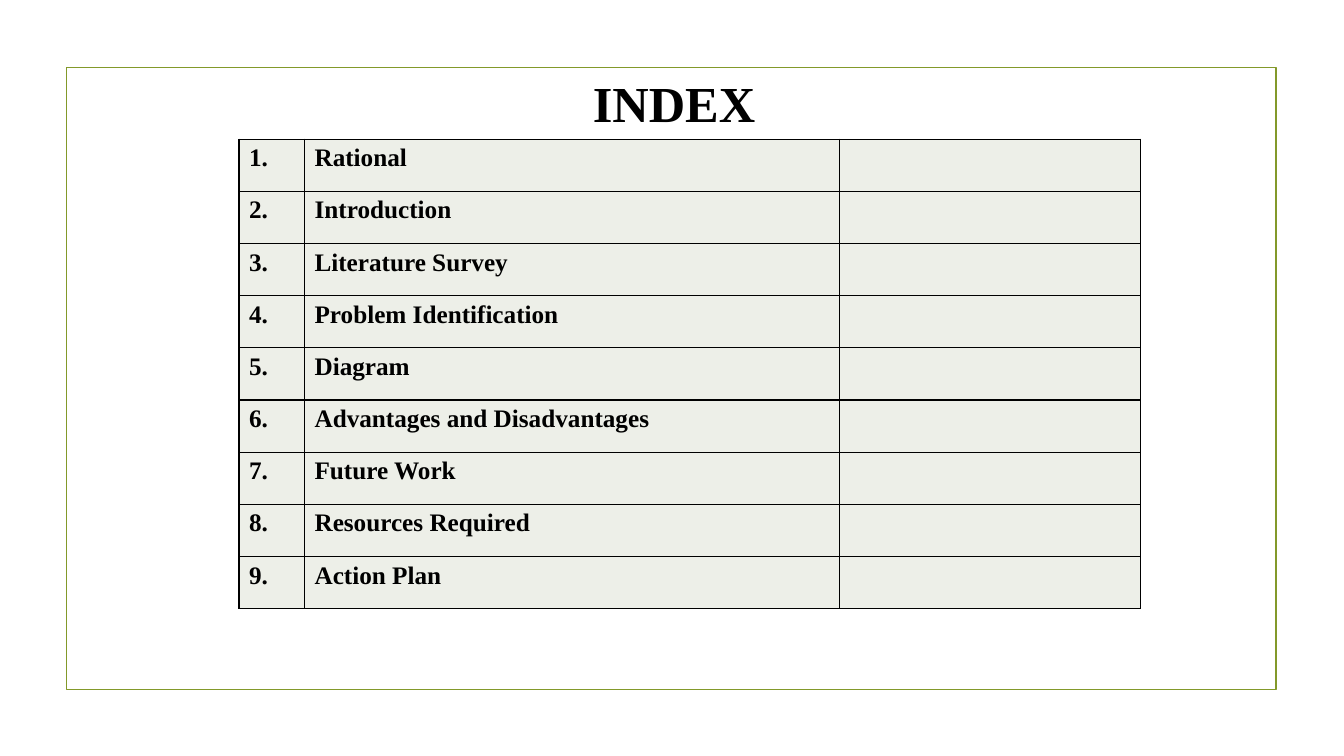
import dataclasses

import lxml.etree
import pptx
import pptx.dml.color
import pptx.enum.shapes
import pptx.enum.text
import pptx.oxml.ns
import pptx.util


@dataclasses.dataclass(frozen=True)
class Theme:
    font: str = "Times New Roman"
    title_size: int = 36
    cell_size: int = 18
    text: str = "000000"
    frame: str = "83992A"
    cell: str = "EDEFE8"
    border: str = "000000"


theme = Theme()
Inches = pptx.util.Inches
Pt = pptx.util.Pt
rgb = pptx.dml.color.RGBColor.from_string


def add_bold_run(paragraph, text, size):
    run = paragraph.add_run()
    run.text = text
    run.font.name = theme.font
    run.font.size = Pt(size)
    run.font.bold = True
    run.font.color.rgb = rgb(theme.text)


def add_borders(cell):
    """Draw a one-point line on all four sides; call before filling the cell."""
    properties = cell._tc.get_or_add_tcPr()
    for side in ("a:lnL", "a:lnR", "a:lnT", "a:lnB"):
        line = lxml.etree.SubElement(properties, pptx.oxml.ns.qn(side), w=str(Pt(1)))
        fill = lxml.etree.SubElement(line, pptx.oxml.ns.qn("a:solidFill"))
        lxml.etree.SubElement(fill, pptx.oxml.ns.qn("a:srgbClr"), val=theme.border)


presentation = pptx.Presentation()
presentation.slide_width = Inches(13.33)
presentation.slide_height = Inches(7.5)
slide = presentation.slides.add_slide(presentation.slide_layouts[6])

# Frame
frame_left, frame_top, frame_width, frame_height = 0.66, 0.67, 12, 6.17
frame = slide.shapes.add_shape(
    pptx.enum.shapes.MSO_SHAPE.RECTANGLE,
    Inches(frame_left), Inches(frame_top), Inches(frame_width), Inches(frame_height),
)
frame.shadow.inherit = False
frame.fill.background()
frame.line.color.rgb = rgb(theme.frame)
frame.line.width = Pt(1.25)

# Title
title_height = 0.71
title = slide.shapes.add_textbox(
    Inches(0.7), Inches(frame_top), Inches(11.97), Inches(title_height)
)
title.text_frame.word_wrap = True
title_paragraph = title.text_frame.paragraphs[0]
title_paragraph.alignment = pptx.enum.text.PP_ALIGN.CENTER
add_bold_run(title_paragraph, "INDEX", theme.title_size)

# Index table
topics = [
    "Rational",
    "Introduction",
    "Literature Survey",
    "Problem Identification",
    "Diagram",
    "Advantages and Disadvantages",
    "Future Work",
    "Resources Required",
    "Action Plan",
]
column_widths = [0.65, 5.31, 2.98]
table_height = 4.66
table = slide.shapes.add_table(
    len(topics), len(column_widths),
    Inches(2.37), Inches(frame_top + title_height),
    Inches(sum(column_widths)), Inches(table_height),
).table
table.first_row = False
table.horz_banding = False

for column, width in zip(table.columns, column_widths):
    column.width = Inches(width)

for number, (row, topic) in enumerate(zip(table.rows, topics), start=1):
    row.height = Inches(table_height / len(topics))
    for cell, text in zip(row.cells, (f"{number}.", topic, "")):
        add_borders(cell)
        cell.fill.solid()
        cell.fill.fore_color.rgb = rgb(theme.cell)
        if text:
            add_bold_run(cell.text_frame.paragraphs[0], text, theme.cell_size)

presentation.save("out.pptx")
